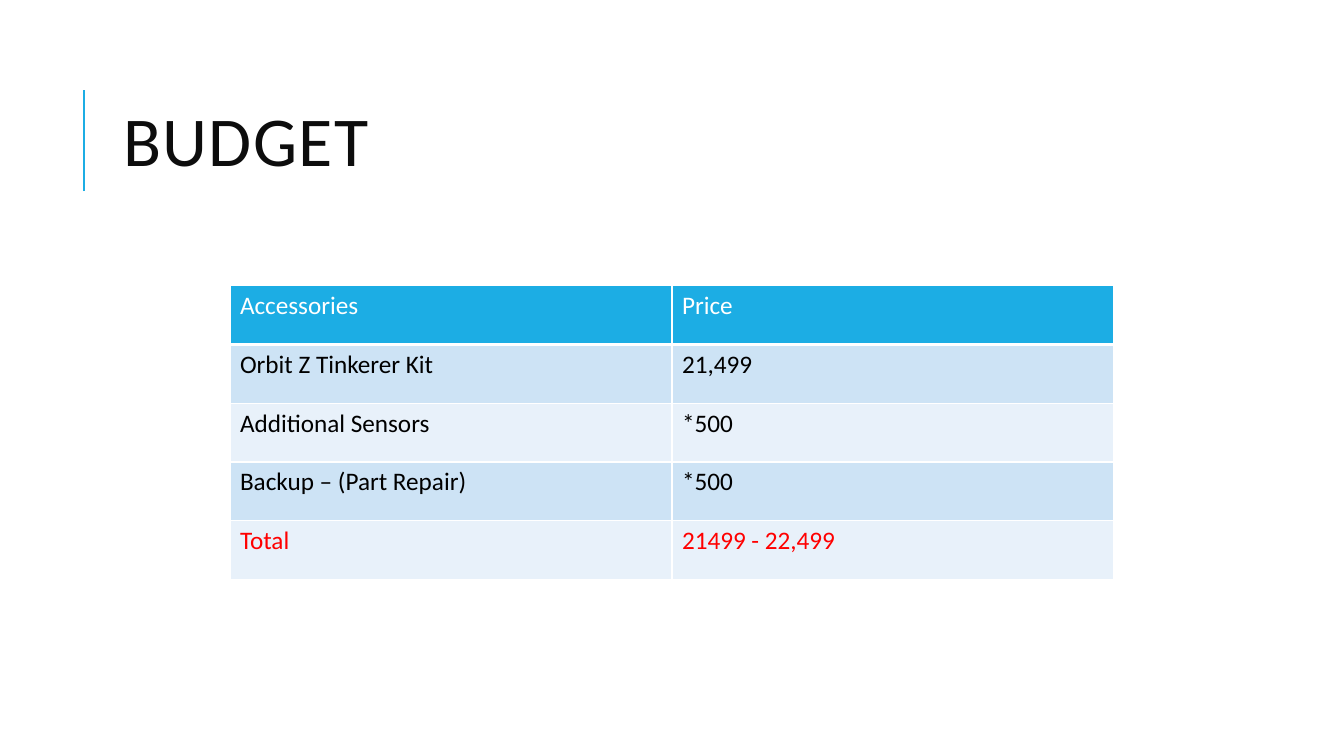
from dataclasses import dataclass

from lxml.etree import SubElement
from pptx import Presentation
from pptx.dml.color import RGBColor
from pptx.enum.shapes import MSO_CONNECTOR
from pptx.enum.text import MSO_ANCHOR
from pptx.oxml.ns import qn
from pptx.util import Pt

PX = 9525
SLIDE_WIDTH, SLIDE_HEIGHT = 1280, 720


@dataclass(frozen=True)
class Theme:
    font: str = "Calibri"
    title_size: int = 50
    table_size: int = 18
    accent: str = "1CADE4"
    title: str = "0D0D0D"
    white: str = "FFFFFF"
    body: str = "000000"
    total: str = "FF0000"
    bands: tuple = ("CDE3F5", "E8F1FA")


THEME = Theme()

BUDGET_ROWS = [
    ("Accessories", "Price"),
    ("Orbit Z Tinkerer Kit", "21,499"),
    ("Additional Sensors", "*500"),
    ("Backup – (Part Repair)", "*500"),
    ("Total", "21499 - 22,499"),
]


def px(*lengths):
    return [length * PX for length in lengths]


def apply_format(target, values):
    for attribute, value in values.items():
        setattr(target, attribute, value)


def write(frame, wording, size, color):
    run = frame.paragraphs[0].add_run()
    run.text = wording
    apply_format(run.font, {"name": THEME.font, "size": Pt(size), "bold": False})
    run.font.color.rgb = RGBColor.from_string(color)
    return run


def draw_heading(slide, left, top, width, height):
    bar_top, bar_bottom = top + 25, top + 121
    bar = slide.shapes.add_connector(
        MSO_CONNECTOR.STRAIGHT, *px(left, bar_bottom, left, bar_top))
    bar.line.width = Pt(1.5)
    bar.line.color.rgb = RGBColor.from_string(THEME.accent)
    SubElement(bar.element.spPr, qn("a:effectLst"))

    indent = 28
    heading = slide.shapes.add_textbox(*px(left + indent, top, width - indent, height))
    frame = heading.text_frame
    apply_format(frame, {"word_wrap": True, "vertical_anchor": MSO_ANCHOR.MIDDLE})
    frame.paragraphs[0].line_spacing = 0.8
    run = write(frame, "BUDGET", THEME.title_size, THEME.title)
    run.font._element.set("spc", "100")


def draw_borders(cell, bottom_points):
    properties = cell._tc.get_or_add_tcPr()
    widths = {"a:lnL": 1, "a:lnR": 1, "a:lnT": 1, "a:lnB": bottom_points}
    for position, (side, points) in enumerate(widths.items()):
        border = SubElement(properties, qn(side), w=str(Pt(points)))
        fill = SubElement(border, qn("a:solidFill"))
        SubElement(fill, qn("a:srgbClr"), val=THEME.white)
        properties.insert(position, border)


def row_style(index):
    if index == 0:
        return THEME.accent, THEME.white, 3
    is_total = index == len(BUDGET_ROWS) - 1
    return THEME.bands[(index - 1) % 2], THEME.total if is_total else THEME.body, 1


def draw_budget(slide, left, top, width, height):
    budget = slide.shapes.add_table(
        len(BUDGET_ROWS), len(BUDGET_ROWS[0]), *px(left, top, width, height)).table
    for index, entries in enumerate(BUDGET_ROWS):
        background, color, bottom_points = row_style(index)
        for column, wording in enumerate(entries):
            cell = budget.cell(index, column)
            cell.fill.solid()
            cell.fill.fore_color.rgb = RGBColor.from_string(background)
            draw_borders(cell, bottom_points)
            write(cell.text_frame, wording, THEME.table_size, color)


def main():
    presentation = Presentation()
    apply_format(presentation, {"slide_width": SLIDE_WIDTH * PX,
                                "slide_height": SLIDE_HEIGHT * PX})
    slide = presentation.slides.add_slide(presentation.slide_layouts[6])
    draw_heading(slide, 80, 61, 1048, 157)
    draw_budget(slide, 219, 272, 842, 280)
    presentation.save("out.pptx")


if __name__ == "__main__":
    main()
